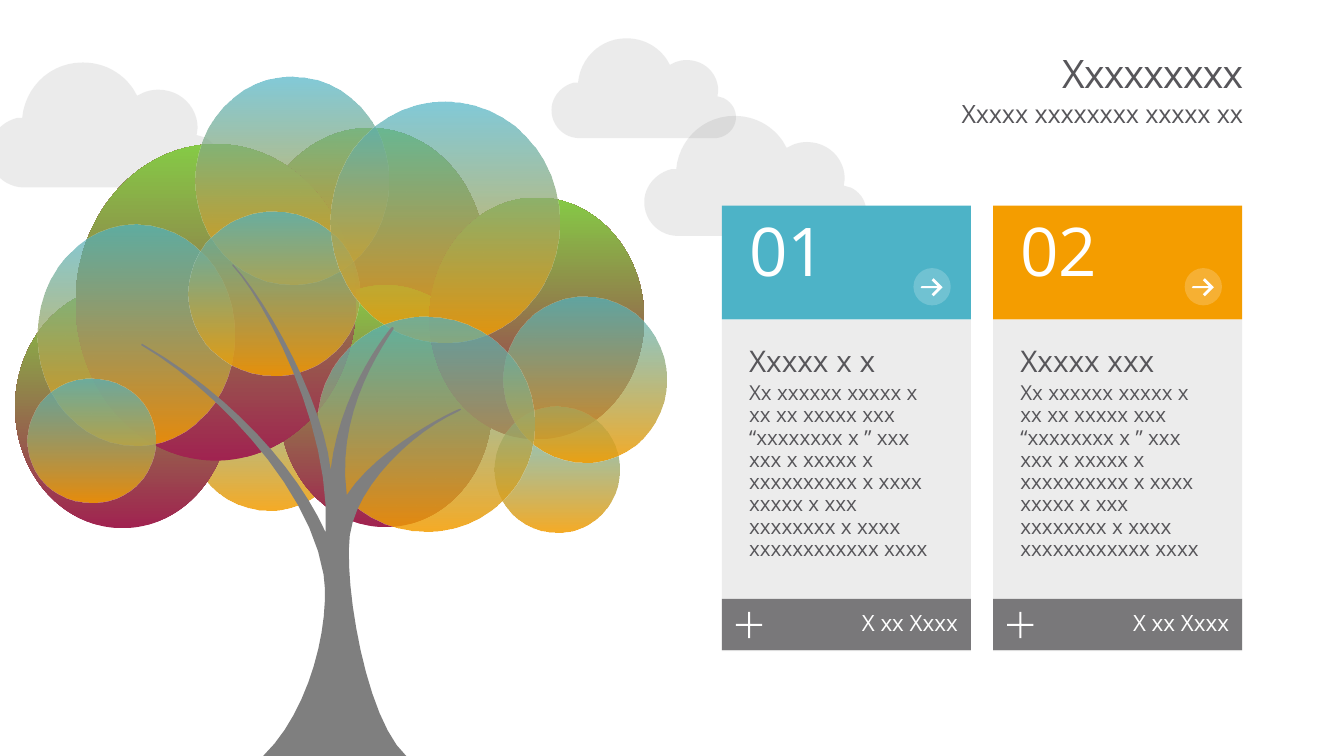
from lxml import etree
from pptx import Presentation
from pptx.dml.color import RGBColor
from pptx.enum.shapes import MSO_SHAPE
from pptx.enum.text import MSO_ANCHOR, MSO_AUTO_SIZE, PP_ALIGN
from pptx.oxml.ns import qn
from pptx.util import Cm, Pt

RECT, OVAL, CROSS = MSO_SHAPE.RECTANGLE, MSO_SHAPE.OVAL, MSO_SHAPE.CROSS
LEFT, RIGHT = PP_ALIGN.LEFT, PP_ALIGN.RIGHT
TOP, MIDDLE = MSO_ANCHOR.TOP, MSO_ANCHOR.MIDDLE
NO_AUTOFIT = MSO_AUTO_SIZE.NONE

FONT = "Open Sans"
INK, WHITE, GREY = "57565A", "FFFFFF", "7F7F7F"
TEAL, ORANGE = "4DB3C7", "F49D00"
DARK_LEAF = (("A02350", 100), ("85CA46", 100))
CLEAR_LEAF = ((ORANGE, 85), (TEAL, 70))

# Leaves: left, top, width, height in inches
BACK_LEAF = (1.86, 3.41, 1.62, 1.65)
DARK_LEAVES = [(2.52, 1.27, 2.29, 2.58), (2.77, 2.83, 2.11, 2.4),
               (0.15, 2.84, 2.13, 2.4), (4.26, 1.96, 2.13, 2.4),
               (0.75, 1.43, 2.78, 3.14)]
CLEAR_LEAVES = [(0.37, 2.23, 1.96, 2.19), (1.94, 0.76, 1.91, 2.06),
                (4.91, 4.03, 1.23, 1.25), (1.87, 2.1, 1.7, 1.63),
                (0.27, 3.76, 1.27, 1.23), (3.28, 1.01, 2.27, 2.39),
                (4.99, 2.94, 1.62, 1.65), (3.15, 3.14, 2.15, 2.13)]

# Outlines: a pair is a straight step, six numbers are a Bezier curve
CLOUD_WIDTH = 2.29
CLOUD = [(0.93, 0), (1.14, 0, 1.32, 0.1, 1.43, 0.26), (1.47, 0.33), (1.53, 0.3),
         (1.58, 0.28, 1.63, 0.27, 1.68, 0.27), (1.9, 0.27, 2.07, 0.44, 2.07, 0.65),
         (2.06, 0.72), (2.13, 0.74), (2.22, 0.78, 2.29, 0.87, 2.29, 0.98),
         (2.29, 1.12, 2.17, 1.24, 2.02, 1.24), (0.35, 1.24),
         (0.16, 1.24, 0, 1.09, 0, 0.89), (0, 0.73, 0.12, 0.59, 0.28, 0.55),
         (0.33, 0.55), (0.34, 0.48), (0.4, 0.2, 0.64, 0, 0.93, 0)]
TRUNK = [(4.03, 7.5), (3.63, 7.14, 3.41, 5.8, 3.47, 5.31),
         (3.54, 4.8, 4.12, 4.27, 4.55, 4.08), (4.58, 4.06, 4.58, 4.05, 4.55, 4.06),
         (4.53, 4.06, 3.75, 4.43, 3.44, 4.91), (3.34, 4.17, 3.7, 3.57, 3.9, 3.27),
         (3.91, 3.25, 3.9, 3.24, 3.88, 3.25), (3.75, 3.41, 3.36, 3.96, 3.28, 4.66),
         (3.21, 4.01, 2.67, 3.01, 2.31, 2.62), (2.31, 2.62, 2.3, 2.64, 2.31, 2.64),
         (2.61, 2.96, 3.29, 4.22, 3.23, 5.28), (2.95, 4.66, 2.3, 3.92, 1.41, 3.41),
         (1.4, 3.41, 1.4, 3.43, 1.41, 3.43), (2.05, 3.8, 3.06, 4.78, 3.21, 5.7),
         (3.28, 6.17, 3.08, 7.05, 2.61, 7.5)]
ARROW = [(0.08, 0.18), (0.24, 0.18), (0.18, 0.12), (0.2, 0.1), (0.29, 0.19),
         (0.2, 0.28), (0.18, 0.26), (0.24, 0.2), (0.08, 0.2), (0.07, 0.19)]

CARD_LEFT, CARD_STEP, CARD_WIDTH = 7.16, 2.69, 2.47
CARD_TEXT = ("Xx xxxxxx xxxxx x xx xx xxxxx xxx “xxxxxxxx x ” xxx xxx x xxxxx x "
             "xxxxxxxxxx x xxxx xxxxx x xxx xxxxxxxx x xxxx xxxxxxxxxxxx xxxx")
CARDS = [("01", TEAL, "Xxxxx x x"), ("02", ORANGE, "Xxxxx xxx")]


def length(inches):
    return Cm(inches * 2.54)


def rgb(color):
    return RGBColor.from_string(color)


def paint(sp, stops):
    """Fill with one (colour, opacity) pair, or with two as an upward gradient."""
    sp.shadow.inherit = False
    sp.line.fill.background()
    if len(stops) == 1:
        sp.fill.solid()
        sp.fill.fore_color.rgb = rgb(stops[0][0])
    else:
        sp.fill.gradient()
        sp.fill.gradient_angle = 90
        for stop, (color, _) in zip(sp.fill.gradient_stops, stops):
            stop.color.rgb = rgb(color)
    colors = list(sp._element.spPr.iter(qn("a:srgbClr")))
    for node, (_, opacity) in zip(colors, stops):
        if opacity < 100:
            etree.SubElement(node, qn("a:alpha")).set("val", str(opacity * 1000))


def add_shape(shapes, kind, box, *stops):
    sp = shapes.add_shape(kind, *map(length, box))
    paint(sp, stops)
    return sp


def flatten(outline, steps=12):
    """Turn an outline into points, with each curve cut into short steps."""
    points = [outline[0]]
    for part in outline[1:]:
        if len(part) == 2:
            points.append(part)
            continue
        start, c1, c2, end = points[-1], part[:2], part[2:4], part[4:]
        for i in range(1, steps + 1):
            t = i / steps
            u = 1 - t
            points.append(tuple(
                u ** 3 * a + 3 * u * u * t * b + 3 * u * t * t * c + t ** 3 * d
                for a, b, c, d in zip(start, c1, c2, end)))
    return points


def add_outline(shapes, outline, color, opacity=100, left=0, top=0, scale=1):
    points = [(length(left + x * scale), length(top + y * scale))
              for x, y in flatten(outline)]
    builder = shapes.build_freeform(*points[0])
    builder.add_line_segments(points[1:], close=True)
    paint(builder.convert_to_shape(), [(color, opacity)])


def set_frame(tf, margins=(0, 0, 0, 0), anchor=TOP):
    tf.word_wrap = True
    tf.auto_size = NO_AUTOFIT
    tf.vertical_anchor = anchor
    tf.margin_left, tf.margin_top, tf.margin_right, tf.margin_bottom = map(length, margins)


def add_text(tf, text, size, color=WHITE, align=LEFT, spacing=0.9, after=2.7, tracking=0):
    p = tf.paragraphs[0] if not tf.text else tf.add_paragraph()
    pPr = p._p.get_or_add_pPr()
    pPr.set("marL", "0")
    pPr.set("indent", "0")
    etree.SubElement(pPr, qn("a:buNone"))
    p.alignment, p.line_spacing = align, spacing
    p.space_before, p.space_after = Pt(0), Pt(after)
    r = p.add_run()
    r.text = text
    r.font.name, r.font.size, r.font.color.rgb = FONT, Pt(size), rgb(color)
    if tracking:
        r._r.get_or_add_rPr().set("spc", str(tracking))


def fill_placeholder(sp, box, text, size, anchor, tracking):
    sp.left, sp.top, sp.width, sp.height = map(length, box)
    set_frame(sp.text_frame, anchor=anchor)
    add_text(sp.text_frame, text, size, INK, RIGHT, 0.86, 0, tracking)


def add_cloud(shapes, left, top, width):
    add_outline(shapes, CLOUD, GREY, 15, left, top, width / CLOUD_WIDTH)


def add_tree(shapes):
    add_shape(shapes, OVAL, BACK_LEAF, *CLEAR_LEAF)
    crown = shapes.add_group_shape().shapes
    for box in DARK_LEAVES:
        add_shape(crown, OVAL, box, *DARK_LEAF)
    for box in CLEAR_LEAVES:
        add_shape(shapes, OVAL, box, *CLEAR_LEAF)
    add_outline(shapes, TRUNK, GREY)


def add_card(shapes, left, number, color, heading):
    tf = add_shape(shapes, RECT, (left, 3.17, CARD_WIDTH, 3.29), ("808080", 15)).text_frame
    set_frame(tf, (0.27,) * 4)
    add_text(tf, heading, 21.3, INK)
    add_text(tf, CARD_TEXT, 14.7, INK)

    tf = add_shape(shapes, RECT, (left, 2.04, CARD_WIDTH, 1.13), (color, 100)).text_frame
    set_frame(tf, (0.27, 0.13, 0.27, 0.27))
    add_text(tf, number, 48)

    button = shapes.add_group_shape().shapes
    add_shape(button, OVAL, (left + 1.9, 2.66, 0.37, 0.37), (WHITE, 20))
    add_outline(button, ARROW, WHITE, left=left + 1.9, top=2.66)

    tf = add_shape(shapes, RECT, (left, 5.94, CARD_WIDTH, 0.51), ("414043", 67)).text_frame
    set_frame(tf, (0.13,) * 4)
    add_text(tf, "X xx Xxxx", 16, align=RIGHT)
    plus = add_shape(shapes, CROSS, (left + 0.14, 6.07, 0.26, 0.26), (WHITE, 100))
    plus.adjustments[0] = 0.46


def main():
    prs = Presentation()
    prs.slide_width, prs.slide_height = length(13.33), length(7.5)
    s = prs.slides.add_slide(prs.slide_layouts[1])
    title, subtitle = s.placeholders
    fill_placeholder(title, (1, 0.31, 11.33, 0.89), "Xxxxxxxxx", 28, MIDDLE, -50)
    fill_placeholder(subtitle, (1, 1.02, 11.33, 0.44), "Xxxxx xxxxxxxx xxxxx xx", 18, TOP, -10)
    add_cloud(s.shapes, -0.11, 0.62, 2.29)
    add_tree(s.shapes)
    add_cloud(s.shapes, 6.39, 1.15, 2.2)
    add_cloud(s.shapes, 5.47, 0.38, 1.83)
    for i, card in enumerate(CARDS):
        add_card(s.shapes, CARD_LEFT + i * CARD_STEP, *card)
    prs.save("out.pptx")


if __name__ == "__main__":
    main()
